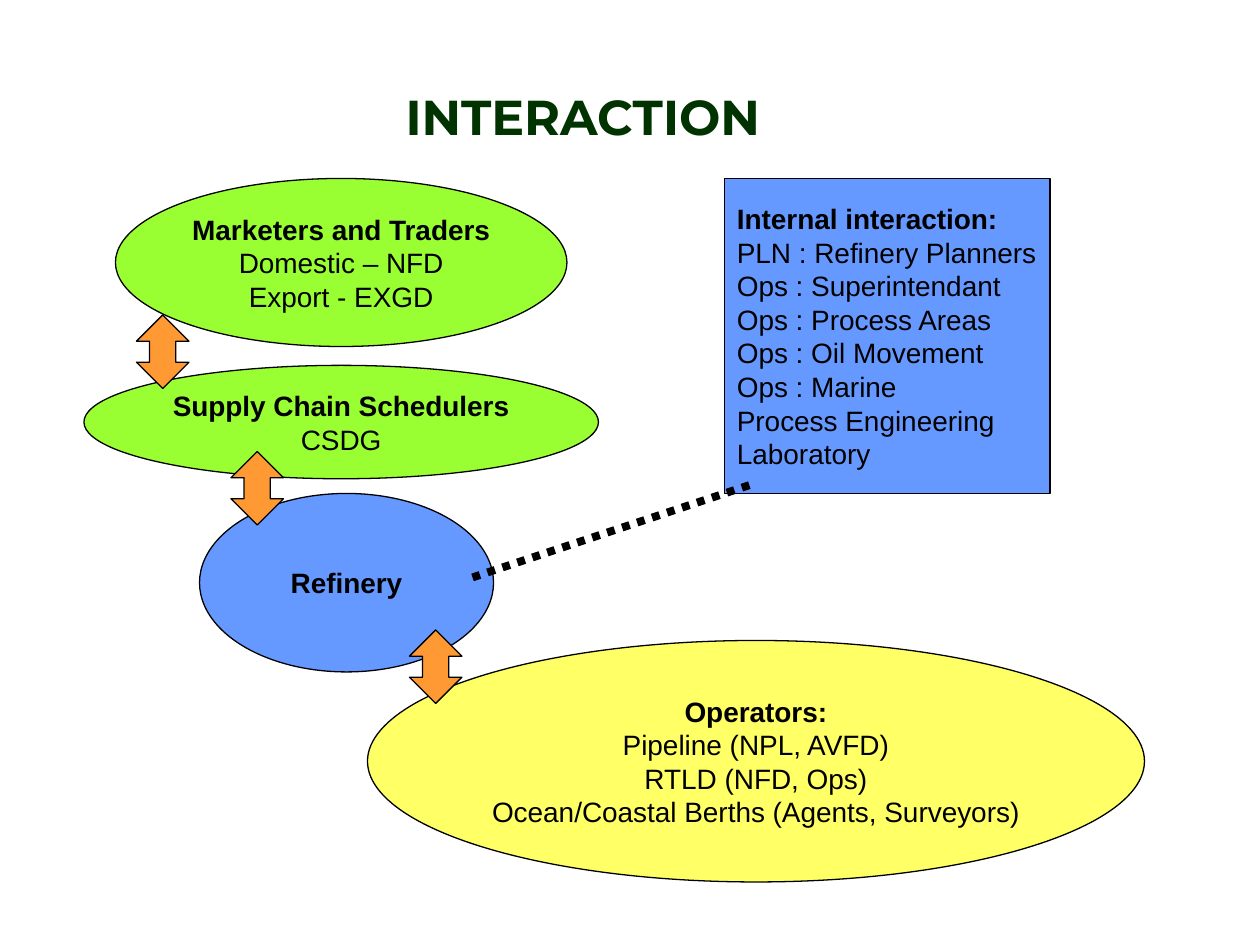
from dataclasses import dataclass

from pptx import Presentation
from pptx.dml.color import RGBColor
from pptx.enum.dml import MSO_LINE
from pptx.enum.shapes import MSO_CONNECTOR, MSO_SHAPE
from pptx.enum.text import MSO_ANCHOR, MSO_AUTO_SIZE, PP_ALIGN
from pptx.oxml.xmlchemy import OxmlElement
from pptx.util import Pt

BLACK = RGBColor(0x00, 0x00, 0x00)
DARK_GREEN = RGBColor(0x00, 0x33, 0x00)
LIME = RGBColor(0x99, 0xFF, 0x33)
BLUE = RGBColor(0x66, 0x99, 0xFF)
YELLOW = RGBColor(0xFF, 0xFF, 0x66)
ORANGE = RGBColor(0xFF, 0x99, 0x33)


@dataclass
class Party:
    """A group: bold heading, plain lines, and an optional same-line suffix."""
    box: tuple[float, float, float, float]
    color: RGBColor
    heading: str
    lines: tuple[str, ...] = ()
    suffix: str = ""
    kind: MSO_SHAPE = MSO_SHAPE.OVAL
    align: PP_ALIGN = PP_ALIGN.CENTER


PARTIES = [
    Party((114, 282, 168, 102), BLUE, "Refinery"),
    Party((66, 102, 258, 96), LIME, "Marketers and Traders",
          ("Domestic – NFD", "Export - EXGD")),
    Party((48, 208.8, 294, 64.8), LIME, "Supply Chain Schedulers", suffix=" CSDG"),
    Party((210, 366, 444, 138), YELLOW, "Operators:",
          ("Pipeline (NPL, AVFD)", "RTLD (NFD, Ops)",
           "Ocean/Coastal Berths (Agents, Surveyors)")),
]
INTERNAL = Party(
    (414, 102, 186, 180), BLUE, "Internal interaction:",
    ("PLN : Refinery Planners", "Ops : Superintendant", "Ops : Process Areas",
     "Ops : Oil Movement", "Ops : Marine", "Process Engineering", "Laboratory"),
    kind=MSO_SHAPE.RECTANGLE, align=PP_ALIGN.LEFT)
ARROW_CORNERS = [(234, 360), (132, 258), (78, 180)]
ARROW_SIZE = (30, 42)


def add_text(paragraph, text: str, *, size: float = 16, font: str = "Arial",
             color: RGBColor = BLACK, bold: bool = False,
             align: PP_ALIGN = PP_ALIGN.CENTER) -> None:
    paragraph.alignment = align
    run = paragraph.add_run()
    run.text = text
    run.font.size, run.font.name, run.font.bold = Pt(size), font, bold
    run.font.color.rgb = color


def set_frame(frame, wrap: bool) -> None:
    frame.auto_size = MSO_AUTO_SIZE.NONE
    frame.word_wrap = wrap
    frame.vertical_anchor = MSO_ANCHOR.MIDDLE
    frame.margin_left = frame.margin_right = Pt(7.2)
    frame.margin_top = frame.margin_bottom = Pt(3.6)


def add_shape(slide, kind: MSO_SHAPE, box: tuple, color: RGBColor):
    shape = slide.shapes.add_shape(kind, *map(Pt, box))
    shape.shadow.inherit = False
    shape.fill.solid()
    shape.fill.fore_color.rgb = color
    shape.line.color.rgb = BLACK
    shape.line.width = Pt(0.75)
    return shape


def add_party(slide, party: Party) -> None:
    frame = add_shape(slide, party.kind, party.box, party.color).text_frame
    set_frame(frame, wrap=bool(party.suffix))
    heading = frame.paragraphs[0]
    add_text(heading, party.heading, bold=True, align=party.align)
    if party.suffix:
        add_text(heading, party.suffix, align=party.align)
    for line in party.lines:
        add_text(frame.add_paragraph(), line, align=party.align)


def add_arrow(slide, corner: tuple[float, float]) -> None:
    arrow = add_shape(slide, MSO_SHAPE.UP_DOWN_ARROW, corner + ARROW_SIZE, ORANGE)
    arrow.adjustments[0] = 0.28  # head length
    arrow.adjustments[1] = 0.5  # shaft width


def add_dotted_link(slide, start: tuple, end: tuple) -> None:
    link = slide.shapes.add_connector(MSO_CONNECTOR.STRAIGHT, *map(Pt, start + end))
    link.line.color.rgb = BLACK
    link.line.width = Pt(4.5)
    link.line.dash_style = MSO_LINE.ROUND_DOT  # written as sysDot
    link._element.spPr.append(OxmlElement("a:effectLst"))


def main() -> None:
    presentation = Presentation()
    presentation.slide_width, presentation.slide_height = Pt(720), Pt(540)
    slide = presentation.slides.add_slide(presentation.slide_layouts[5])

    # Title
    title = slide.shapes.title
    title.left, title.top, title.width, title.height = map(Pt, (30, 36, 606, 60))
    set_frame(title.text_frame, wrap=True)
    add_text(title.text_frame.paragraphs[0], "INTERACTION", size=28,
             font="Montserrat", color=DARK_GREEN, bold=True)

    # Parties and the exchanges between them
    for party in PARTIES:
        add_party(slide, party)
    for corner in ARROW_CORNERS:
        add_arrow(slide, corner)

    # Internal interaction, linked to the refinery
    add_party(slide, INTERNAL)
    add_dotted_link(slide, (270, 330), (432, 276))

    presentation.save("out.pptx")


if __name__ == "__main__":
    main()
